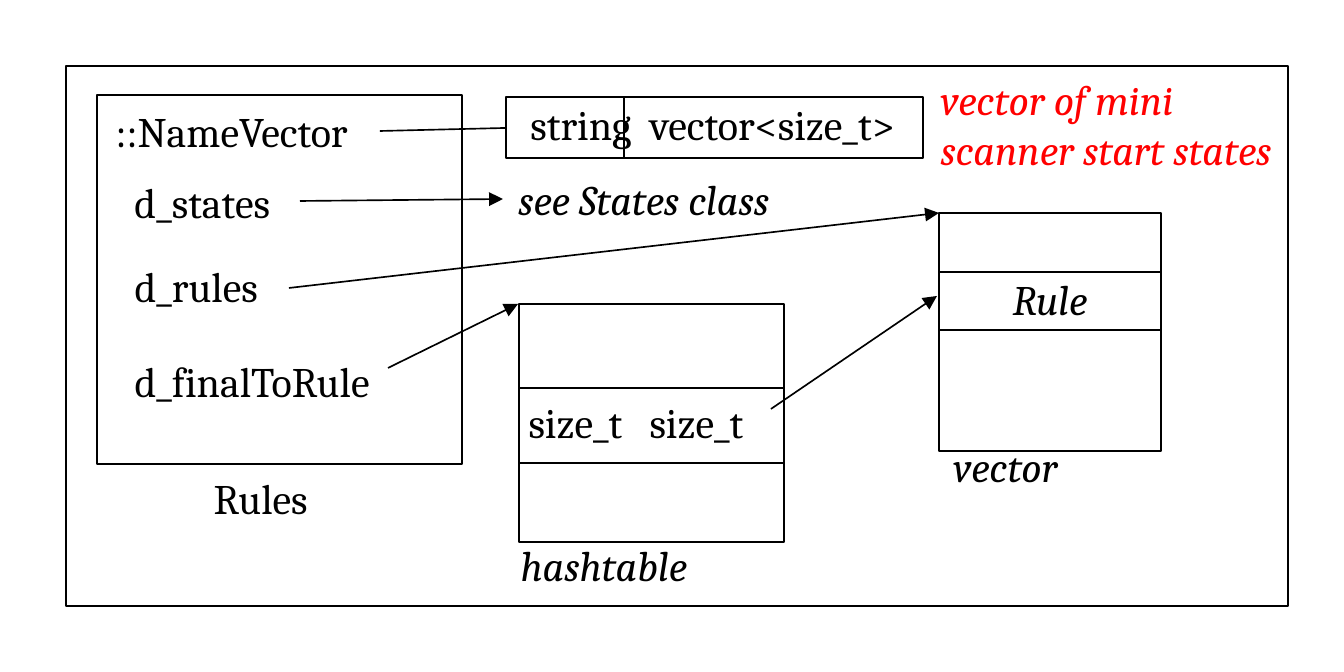
from pptx import Presentation
from pptx.dml.color import RGBColor
from pptx.enum.shapes import MSO_CONNECTOR as CONN, MSO_SHAPE as SHAPE
from pptx.oxml.ns import qn
from pptx.util import Emu, Pt
from lxml.etree import SubElement

PX = 914400 // 168
BLACK = RGBColor(0, 0, 0)
WHITE = RGBColor(255, 255, 255)
RED = RGBColor(255, 0, 0)
FONT, SIZE, LINE = "Cambria", Pt(18), Pt(0.71)
LABEL_H = 74


def px(n):
    return Emu(n * PX)


def add_box(s, x, y, w, h):
    sp = s.shapes.add_shape(SHAPE.RECTANGLE, px(x), px(y), px(w), px(h))
    sp.shadow.inherit = False
    sp.fill.solid()
    sp.fill.fore_color.rgb = WHITE
    sp.line.color.rgb = BLACK
    sp.line.width = LINE


def add_label(s, text, x, y, w, h=LABEL_H, italic=False, color=BLACK):
    tf = s.shapes.add_textbox(px(x), px(y), px(w), px(h)).text_frame
    tf.word_wrap = False
    tf.text = text
    for p in tf.paragraphs:
        for r in p.runs:
            r.font.name, r.font.size = FONT, SIZE
            r.font.italic = italic
            r.font.color.rgb = color


def add_line(s, x1, y1, x2, y2, arrow=True):
    c = s.shapes.add_connector(CONN.STRAIGHT, px(x1), px(y1), px(x2), px(y2))
    c.line.color.rgb = BLACK
    c.line.width = LINE
    if arrow:
        SubElement(c.line._get_or_add_ln(), qn("a:tailEnd"), type="triangle")
    SubElement(c._element.spPr, qn("a:effectLst"))


def add_rules_class(s, x, y, w, h):
    add_box(s, x, y, w, h)
    # Data members: text, offset from the box, width
    for text, dx, dy, lw in (
        ("::NameVector", 2, 2, 301),
        ("d_states", 21, 73, 192),
        ("d_rules", 21, 157, 180),
        ("d_finalToRule", 21, 252, 307),
    ):
        add_label(s, text, x + dx, y + dy, lw)
    add_label(s, "Rules", x + 100, y + h, 141)


def add_name_vector(s, x, y, w, h):
    add_box(s, x, y, w, h)
    text_y = y + (h - LABEL_H) // 2
    add_label(s, "string", x + 8, text_y, 136)
    add_label(s, "vector<size_t>", x + 127, text_y, 280)
    # Divider between key and value
    add_line(s, x + 118, y, x + 118, y + h, arrow=False)
    add_label(s, "vector of mini\nscanner start states", x + w + 1, y - 32,
              420, 131, italic=True, color=RED)


def add_container(s, x, y, w, h, row_y, row_h, caption, caption_x, caption_y,
                  caption_w):
    """Container with one highlighted element row and a caption below."""
    add_box(s, x, y, w, h)
    add_box(s, x, y + row_y, w, row_h)
    add_label(s, caption, x + caption_x, y + caption_y, caption_w, italic=True)


def add_rule_vector(s, x, y, w, h):
    add_container(s, x, y, w, h, 59, 58, "vector", -2, 219, 156)
    add_label(s, "Rule", x + 57, y + 52, 119, italic=True)


def add_hashtable(s, x, y, w, h):
    add_container(s, x, y, w, h, 84, 75, "hashtable", -15, 227, 223)
    for dx in (-7, 114):
        add_label(s, "size_t", x + dx, y + 84, 128)


def add_pointers(s):
    add_line(s, 380, 131, 506, 128, arrow=False)  # NameVector
    add_line(s, 300, 201, 503, 199)  # d_states
    add_line(s, 289, 288, 939, 213)  # d_rules
    add_line(s, 388, 368, 518, 304)  # d_finalToRule
    add_line(s, 771, 409, 937, 296)  # hashtable value


prs = Presentation()
prs.slide_width, prs.slide_height = px(8 * 168), px(4 * 168)
s = prs.slides.add_slide(prs.slide_layouts[6])

# Outer frame
add_box(s, 66, 66, 1222, 540)

# Regions
add_rules_class(s, 97, 95, 365, 369)
add_name_vector(s, 506, 97, 417, 61)
add_label(s, "see States class", 502, 165, 331, italic=True)
add_rule_vector(s, 939, 213, 222, 238)
add_hashtable(s, 519, 304, 265, 238)

# Links between regions
add_pointers(s)

prs.save("out.pptx")
